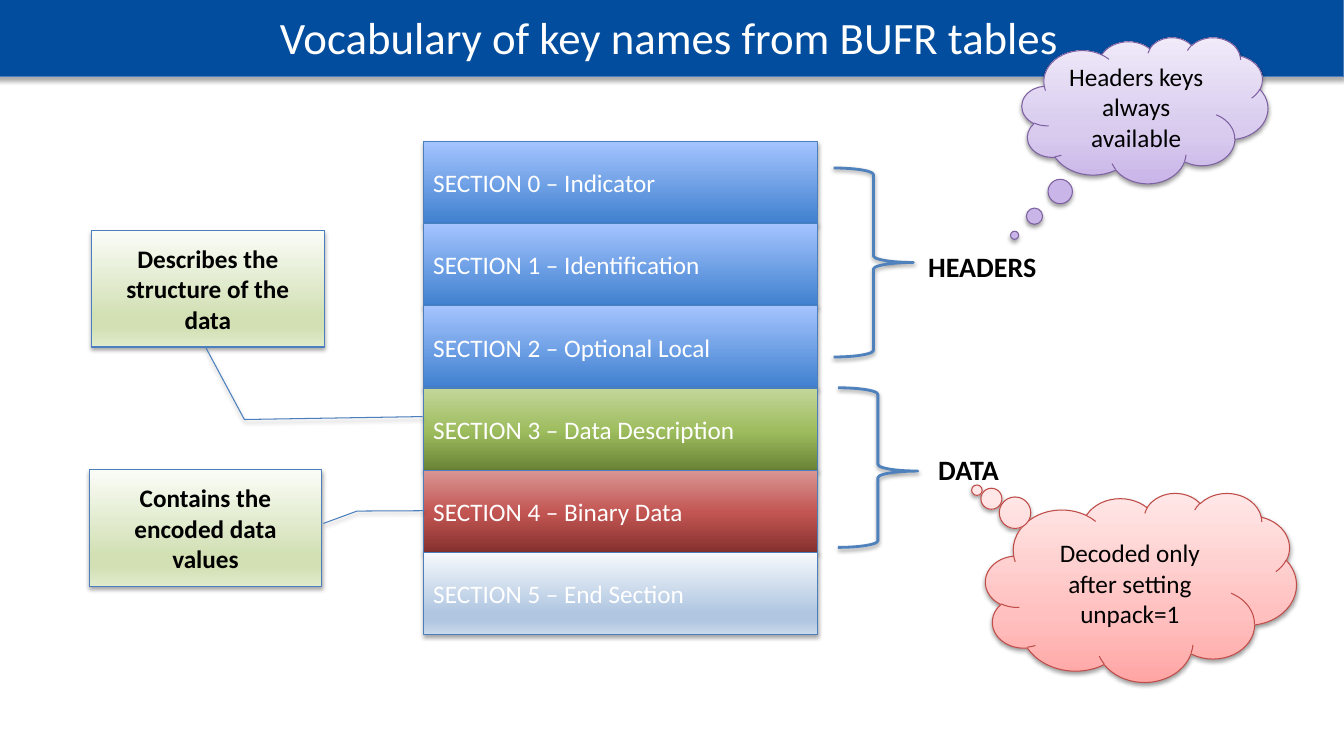
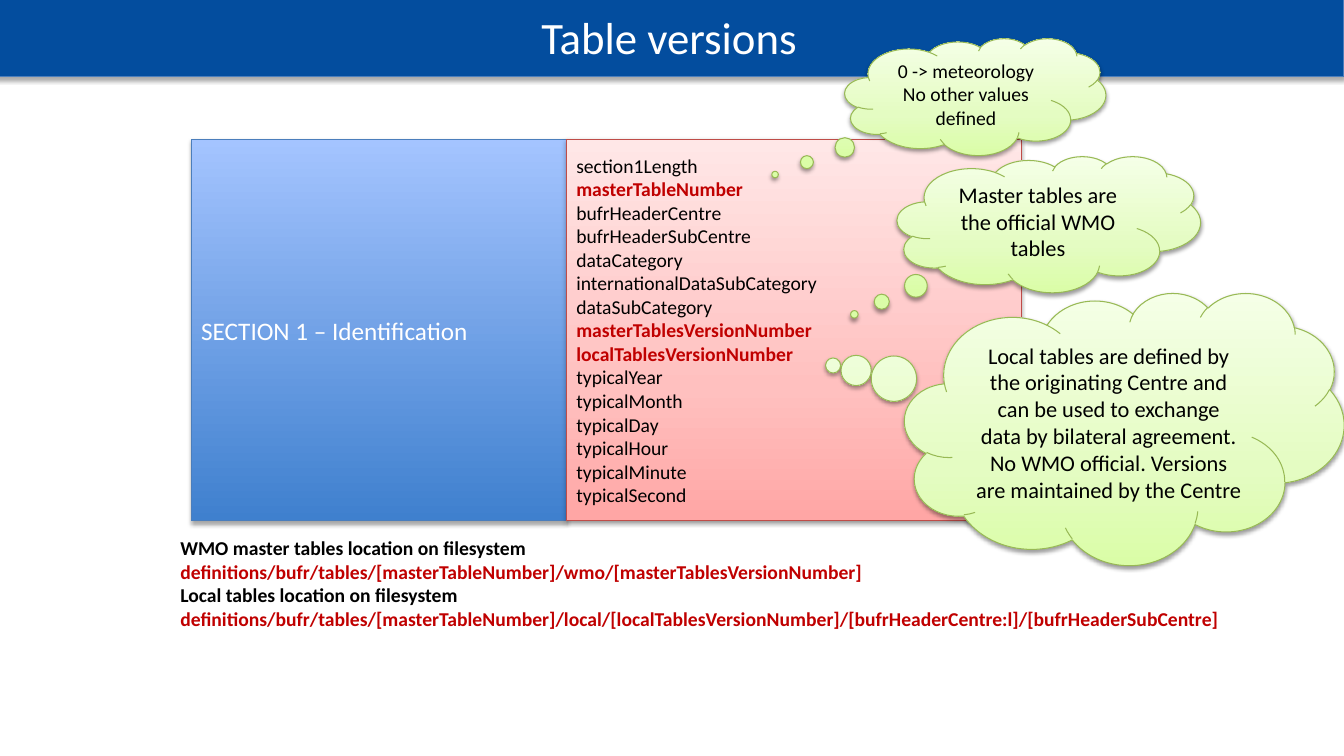
from collections import namedtuple
from dataclasses import dataclass

from lxml.etree import SubElement
from pptx import Presentation
from pptx.dml.color import RGBColor as Rgb
from pptx.enum.shapes import MSO_SHAPE as Kind
from pptx.enum.text import MSO_ANCHOR as Anchor, MSO_AUTO_SIZE as Fit, PP_ALIGN as Align
from pptx.oxml.ns import qn
from pptx.util import Pt

Box = namedtuple("Box", "x y w h")
Skin = namedtuple("Skin", "stops line shade")
Shade = namedtuple("Shade", "alpha dist")


@dataclass(frozen=True)
class Theme:
    """Colours, type sizes and skins; gradient stops run from bottom to top."""
    font: str = "Calibri"
    black: str = "000000"
    white: str = "FFFFFF"
    hot: str = "C00000"
    band: str = "034D9E"
    edge: str = "4B7EBC"
    brace: str = "4F81BD"
    head: int = 32
    label: int = 20
    body: int = 18
    note: int = 16
    small: int = 14
    firm: Shade = Shade(35, 1.8)
    soft: Shade = Shade(38, 1.6)

    def skin(self, name):
        edge, firm, soft = self.edge, self.firm, self.soft
        return {
            "blue": Skin([(0, "3F80CE"), (100, "A4C4FF")], edge, firm),
            "green": Skin([(0, "6A8336"), (48, "9EBD5E"), (100, "C3D69B")], edge, firm),
            "red": Skin([(0, "85312F"), (48, "C25552"), (100, "D99694")], edge, firm),
            "pale": Skin([(0, "CAD9EB"), (17, "B0C6E1"), (26, "B0C6E1"),
                          (100, "F6F9FC")], edge, firm),
            "sage": Skin([(0, "E1EBCD"), (17, "D2E0B4"), (26, "D2E0B4"),
                          (100, "FAFCF7")], edge, firm),
            "rose": Skin([(0, "FFA6A5"), (35, "FFC0BF"), (100, "FFE7E7")], "BF4C48", soft),
            "lilac": Skin([(0, "C9B5E8"), (35, "D8CBEE"), (100, "F0EAF9")], "7D60A0", soft),
            "lime": Skin([(0, "DAFDA7"), (35, "E4FCC2"), (100, "F5FFE7")], "98B955", soft),
        }[name]


T = Theme()


def pts(box):
    return [Pt(v) for v in box]


def tint(shape, stops):
    """Fill with a gradient that rises from the bottom edge."""
    shape.fill.gradient()
    grad = shape.element.spPr.find(qn("a:gradFill"))
    grad.clear()
    grad.set("rotWithShape", "1")
    group = SubElement(grad, qn("a:gsLst"))
    for place, color in stops:
        stop = SubElement(group, qn("a:gs"), pos=str(place * 1000))
        SubElement(stop, qn("a:srgbClr"), val=color)
    SubElement(grad, qn("a:lin"), ang=str(270 * 60000), scaled="0")


def trim(shape, color, width, shade):
    """Set the outline and a shadow that falls straight down."""
    shape.line.color.rgb = Rgb.from_string(color)
    shape.line.width = Pt(width)
    shape.shadow.inherit = False
    effect = shape.element.spPr.find(qn("a:effectLst"))
    drop = SubElement(effect, qn("a:outerShdw"), blurRad=str(Pt(3.1)),
                      dist=str(Pt(shade.dist)), dir=str(90 * 60000), rotWithShape="0")
    ink = SubElement(drop, qn("a:srgbClr"), val=T.black)
    SubElement(ink, qn("a:alpha"), val=str(shade.alpha * 1000))


def write(shape, lines, size, color=T.black, bold=False, align=Align.LEFT):
    frame = shape.text_frame
    frame.word_wrap = True
    frame.text = "\n".join(lines)
    for para in frame.paragraphs:
        para.alignment = align
        font = para.font
        font.name, font.size, font.bold = T.font, Pt(size), bold
        font.color.rgb = Rgb.from_string(color)


def mark(shape, test):
    """Make the paragraphs whose text passes the test bold and red."""
    for para in shape.text_frame.paragraphs:
        if test(para.text):
            para.font.bold = True
            para.font.color.rgb = Rgb.from_string(T.hot)


def panel(slide, kind, box, skin, adjust=()):
    shape = slide.shapes.add_shape(kind, *pts(box))
    for i, value in enumerate(adjust):
        shape.adjustments[i] = value
    look = T.skin(skin)
    tint(shape, look.stops)
    trim(shape, look.line, 0.75, look.shade)
    return shape


def start(deck, text):
    """Add a slide whose title fills the band along the top."""
    slide = deck.slides.add_slide(deck.slide_layouts[5])
    title = slide.shapes.title
    title.left, title.top, title.width, title.height = pts(Box(-4, -3, 964, 58))
    title.fill.solid()
    title.fill.fore_color.rgb = Rgb.from_string(T.band)
    trim(title, T.edge, 0.75, T.firm)
    write(title, [text], T.head, T.white, align=Align.CENTER)
    title.text_frame.auto_size = Fit.NONE
    title.text_frame.vertical_anchor = Anchor.MIDDLE
    return slide


def stack(slide, box, rows):
    """Divide the box into equal rows, one for each section."""
    step = box.h / len(rows)
    for i, (text, skin) in enumerate(rows):
        cell = panel(slide, Kind.RECTANGLE, Box(box.x, box.y + i * step, box.w, step), skin)
        write(cell, [text], T.body, T.white)


def label(slide, box, lines, size):
    shape = slide.shapes.add_textbox(*pts(box))
    write(shape, lines, size, bold=True)
    return shape


def brace(slide, box, text, tip, gap, lift):
    """Draw a brace with its tip at a share of the height, and name it there."""
    shape = slide.shapes.add_shape(Kind.RIGHT_BRACE, *pts(box))
    shape.adjustments[0], shape.adjustments[1] = 0.083, tip
    shape.fill.background()
    trim(shape, T.brace, 2, T.soft)
    spot = Box(box.x + box.w + gap, box.y + box.h * tip - lift, 150, 32)
    label(slide, spot, [text], T.label)


def callout(slide, box, text, adjust):
    shape = panel(slide, Kind.LINE_CALLOUT_2, box, "sage", adjust)
    write(shape, [text], T.body, bold=True, align=Align.CENTER)


def cloud(slide, box, lines, skin, tail, size):
    shape = panel(slide, Kind.CLOUD_CALLOUT, box, skin, tail)
    write(shape, lines, size, align=Align.CENTER)


def keys(slide, box, split, names, hot):
    """Show a section on the left of the split and its keys on the right."""
    stack(slide, box._replace(w=split), [("SECTION 1 – Identification", "blue")])
    side = Box(box.x + split, box.y, box.w - split, box.h)
    shape = panel(slide, Kind.RECTANGLE, side, "rose")
    write(shape, names, T.small)
    mark(shape, lambda text: text in hot)


def vocab(deck):
    slide = start(deck, "Vocabulary of key names from BUFR tables")
    stack(slide, Box(302.4, 101.2, 281.6, 351.9), [
        ("SECTION 0 – Indicator", "blue"),
        ("SECTION 1 – Identification", "blue"),
        ("SECTION 2 – Optional Local", "blue"),
        ("SECTION 3 – Data Description", "green"),
        ("SECTION 4 – Binary Data", "red"),
        ("SECTION 5 – End Section", "pale"),
    ])
    brace(slide, Box(595.4, 120, 57, 135), "HEADERS", 0.5, 3.5, 13)
    brace(slide, Box(598.6, 277, 57, 114), "DATA", 0.522, 7.5, 17)
    callout(slide, Box(65.3, 164.9, 166.3, 83), "Describes the structure of the data",
            (0.993, 0.488, 1.624, 0.657, 1.599, 1.423))
    callout(slide, Box(63.6, 335.7, 166.3, 83), "Contains the encoded data values",
            (0.461, 1.006, 0.354, 1.151, 0.351, 1.44))
    cloud(slide, Box(704, 352, 222, 135), ["Decoded only after setting unpack=1"],
          "rose", (-0.528, -0.514), T.body)
    cloud(slide, Box(730, 26.6, 175.7, 104.4), ["Headers keys always available"],
          "lilac", (-0.53, 0.855), T.body)


def versions(deck):
    slide = start(deck, "Table versions")
    names = [
        "section1Length", "masterTableNumber", "bufrHeaderCentre",
        "bufrHeaderSubCentre", "dataCategory", "internationalDataSubCategory",
        "dataSubCategory", "masterTablesVersionNumber", "localTablesVersionNumber",
        "typicalYear", "typicalMonth", "typicalDay", "typicalHour",
        "typicalMinute", "typicalSecond",
    ]
    hot = {"masterTableNumber", "masterTablesVersionNumber", "localTablesVersionNumber"}
    keys(slide, Box(136.6, 99.5, 592.8, 272.5), 268, names, hot)
    cloud(slide, Box(640.8, 111.6, 216.7, 97.2),
          ["Master tables are the official WMO tables"], "lime", (-0.641, 0.662), T.note)
    cloud(slide, Box(603.4, 27.4, 186.5, 83.5),
          ["0 -> meteorology", "No other values defined"], "lime", (-0.767, 0.665), T.small)
    cloud(slide, Box(646.2, 209, 313.8, 194.4),
          ["Local tables are defined by the originating Centre and can be used to "
           "exchange data by bilateral agreement. No WMO official. Versions are "
           "maintained by the Centre"], "lime", (-0.663, -0.232), T.note)
    root = "definitions/bufr/tables/[masterTableNumber]/"
    paths = label(slide, Box(121.7, 379.5, 771, 75), [
        "WMO master tables location on filesystem",
        root + "wmo/[masterTablesVersionNumber]",
        "Local tables location on filesystem",
        root + "local/[localTablesVersionNumber]/[bufrHeaderCentre:l]/[bufrHeaderSubCentre]",
    ], T.small)
    mark(paths, lambda text: text.startswith(root))


def main():
    deck = Presentation()
    deck.slide_width, deck.slide_height = Pt(960), Pt(540)
    vocab(deck)
    versions(deck)
    deck.save("out.pptx")


if __name__ == "__main__":
    main()
